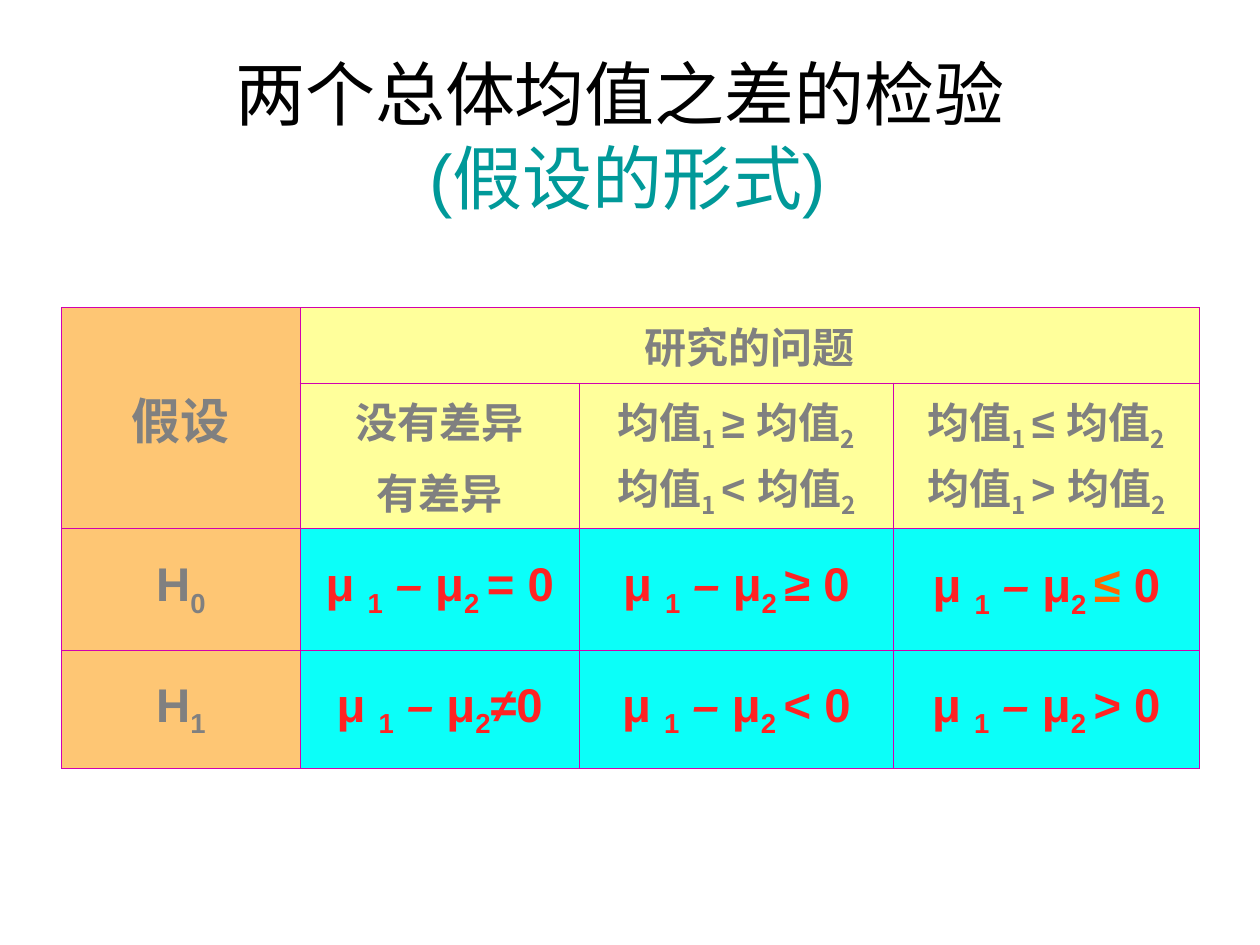
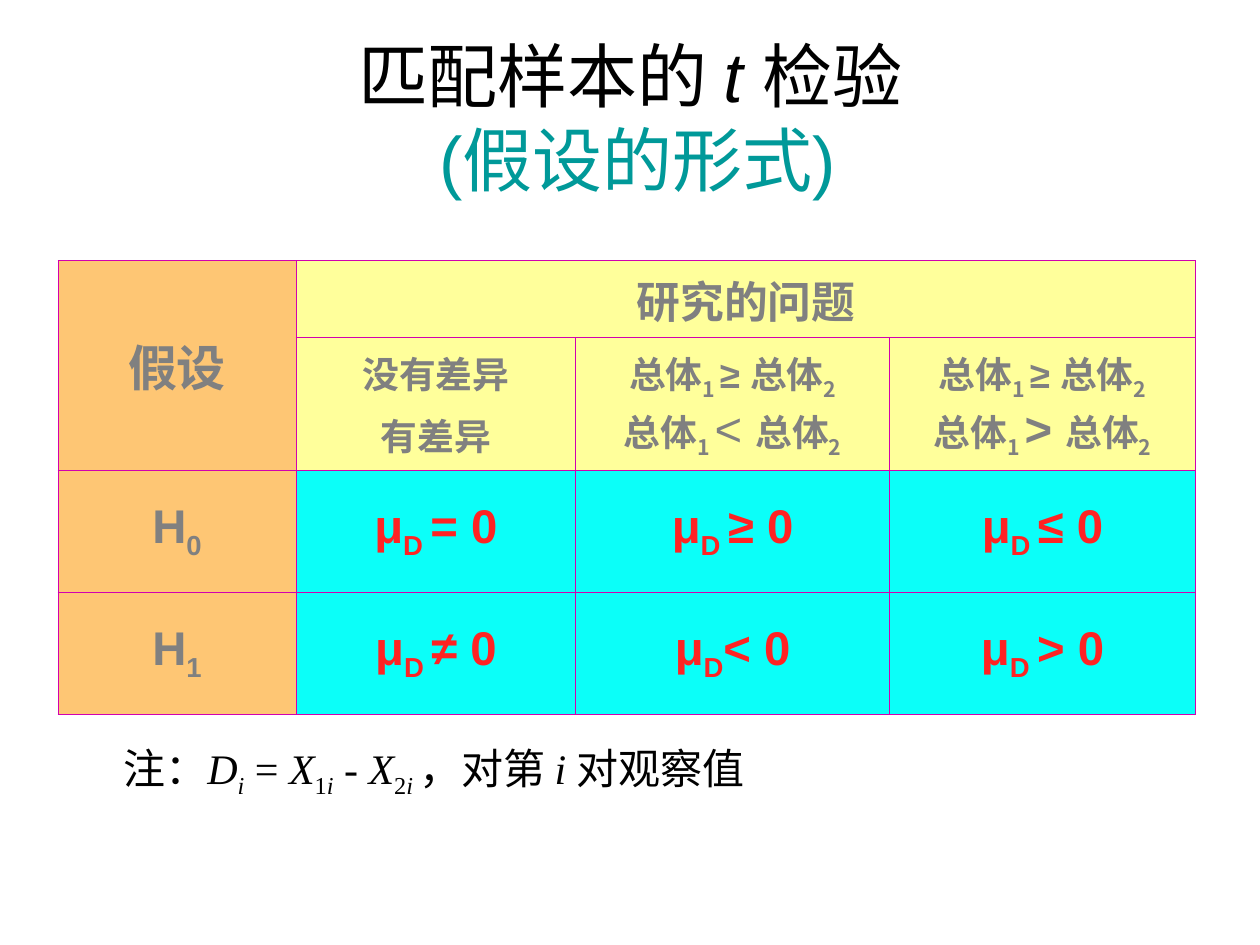
"""Builds two slides on the forms of hypotheses for comparing two means."""
import lxml.etree
import pptx
import pptx.dml.color
import pptx.enum.text
import pptx.oxml.ns
import pptx.util

Inches = pptx.util.Inches
CENTER = pptx.enum.text.PP_ALIGN.CENTER
MIDDLE = pptx.enum.text.MSO_ANCHOR.MIDDLE

SANS, CHINESE, SERIF = "Arial", "Noto Sans CJK SC", "Times New Roman"
THEME = {
    "border": "D200AF",
    "border_width": 0.45,
    "fills": {"corner": "FEC674", "label": "FEC674", "question": "FFFF9B",
              "case": "FFFF9B", "formula": "0BFFF9"},
    "text": {
        "title": {"name": SANS, "size": 40, "color": "000000"},
        "corner": {"name": SANS, "size": 28, "color": "808080", "bold": True},
        "question": {"name": CHINESE, "size": 24, "color": "808080", "bold": True},
        "case": {"name": CHINESE, "size": 24, "color": "808080", "bold": True},
        "label": {"name": SANS, "size": 27, "color": "808080", "bold": True},
        "formula": {"name": SANS, "size": 27, "color": "FF2323", "bold": True},
        "note": {"name": SERIF, "size": 24, "color": "000000"},
    },
    "marks": {
        "_": {"baseline": "-25000"},
        "/": {"italic": True},
        "#": {"color": "009999"},
        "@": {"name": SANS},
        "^": {"name": SANS, "size": 27},
        "~": {"name": SANS, "size": 27, "bold": False},
        "!": {"size": 28, "color": "FF6600"},
    },
}


def write(frame, lines, style, align=None, gap=0):
    """Writes lines whose runs are split by | and may start with theme marks."""
    for number, line in enumerate(lines):
        paragraph = frame.paragraphs[0] if number == 0 else frame.add_paragraph()
        paragraph.alignment = align
        paragraph.space_before = pptx.util.Pt(gap if number else 0)
        for piece in line.split("|"):
            look = dict(style)
            while piece[0] in THEME["marks"]:
                look.update(THEME["marks"][piece[0]])
                piece = piece[1:]
            for part_number, part in enumerate(piece.split("\n")):
                if part_number:
                    paragraph.add_line_break()
                run = paragraph.add_run()
                run.text = part
                properties = run._r.get_or_add_rPr()
                for key, value in look.items():
                    if key == "color":
                        run.font.color.rgb = pptx.dml.color.RGBColor.from_string(value)
                    elif key == "baseline":
                        properties.set(key, value)
                    else:
                        setattr(run.font, key, pptx.util.Pt(value) if key == "size" else value)
                east_asian = lxml.etree.SubElement(properties, pptx.oxml.ns.qn("a:ea"))
                east_asian.set("typeface", CHINESE)


def outline(cell):
    """Draws the thin border on all four sides of a cell."""
    properties = cell._tc.get_or_add_tcPr()
    for position, side in enumerate(("lnL", "lnR", "lnT", "lnB")):
        line = lxml.etree.Element(pptx.oxml.ns.qn(f"a:{side}"))
        line.set("w", str(int(pptx.util.Pt(THEME["border_width"]))))
        fill = lxml.etree.SubElement(line, pptx.oxml.ns.qn("a:solidFill"))
        lxml.etree.SubElement(fill, pptx.oxml.ns.qn("a:srgbClr")).set("val", THEME["border"])
        properties.insert(position, line)


MEAN_DIFFERENCE = "μ |_1|/ – |μ|_2"
COLUMNS = (1.89, 2.22, 2.49, 2.43)
QUESTION, HYPOTHESIS = "研究的问题", "假设"
NO_DIFFERENCE = ["没有差异", "有差异"]

lessons = [
    {
        "title": "两个总体均值之差的检验\n |#(假设的形式)",
        "title_at": (0.67, 0.44, 8.5, 1.25),
        "table_at": (0.49, 2.44),
        "rows": (0.6, 1.04, 0.97, 0.94),
        "question_size": 24, "case_size": 24, "case_gap": 6,
        "cases": [
            NO_DIFFERENCE,
            ["均值|_1 |@≥ |均值|_2", "均值|_1 |@< |均值|_2"],
            ["均值|_1 |@≤ |均值|_2", "均值|_1 |@> |均值|_2"],
        ],
        "formulas": [
            [MEAN_DIFFERENCE + end for end in (" |= 0", " |≥ 0", " |!≤| 0")],
            [MEAN_DIFFERENCE + end for end in ("|≠0", " |< 0", " |> 0")],
        ],
    },
    {
        "title": "匹配样本的 |/t |检验\n |#(假设的形式)",
        "title_at": (0.5, 0.3, 9, 1.25),
        "table_at": (0.46, 2.07),
        "rows": (0.61, 1.05, 0.97, 0.97),
        "question_size": 25, "case_size": 21, "case_gap": 5.2,
        "cases": [
            NO_DIFFERENCE,
            ["总体|_1 |@≥ |总体|_2", "总体|_1 |~< |总体|_2"],
            ["总体|_1 |@≥ |总体|_2", "总体|_1 |^> |总体|_2"],
        ],
        "formulas": [
            ["μ|_D |= 0", "μ|_D |≥ 0", "μ|_D |≤ 0"],
            ["μ|_D |≠ 0", "μ|_D|< 0", "μ|_D |> 0"],
        ],
        "note": "注：|/D|_/i| = |/X|_1|_/i| - |/X|_2|_/i |，对第 |/i |对观察值",
        "note_at": (0.88, 5.84, 6.25, 0.55),
    },
]

deck = pptx.Presentation()
deck.slide_width, deck.slide_height = Inches(10), Inches(7.5)
title_default = next(deck.slide_master.element.iter(pptx.oxml.ns.qn("p:titleStyle")))
next(title_default.iter(pptx.oxml.ns.qn("a:defRPr"))).set(
    "sz", str(THEME["text"]["title"]["size"] * 100))

for lesson in lessons:
    slide = deck.slides.add_slide(deck.slide_layouts[5])
    heading = slide.shapes.title
    for side, length in zip(("left", "top", "width", "height"), lesson["title_at"]):
        setattr(heading, side, Inches(length))
    heading.text_frame.vertical_anchor = MIDDLE
    write(heading.text_frame, [lesson["title"]], THEME["text"]["title"], CENTER)

    left, top = lesson["table_at"]
    hypotheses = slide.shapes.add_table(
        4, 4, Inches(left), Inches(top),
        Inches(sum(COLUMNS)), Inches(sum(lesson["rows"]))).table
    hypotheses.first_row = hypotheses.horz_banding = False
    for column, width in zip(hypotheses.columns, COLUMNS):
        column.width = Inches(width)
    for row, height in zip(hypotheses.rows, lesson["rows"]):
        row.height = Inches(height)
    hypotheses.cell(0, 0).merge(hypotheses.cell(1, 0))
    hypotheses.cell(0, 1).merge(hypotheses.cell(0, 3))

    contents = [
        [[HYPOTHESIS], [QUESTION], None, None],
        [None, *lesson["cases"]],
        [["H|_0"], *([formula] for formula in lesson["formulas"][0])],
        [["H|_1"], *([formula] for formula in lesson["formulas"][1])],
    ]
    roles = [("corner", "question"), ("corner", "case"),
             ("label", "formula"), ("label", "formula")]
    sizes = {"question": lesson["question_size"], "case": lesson["case_size"]}
    for row_number, row_contents in enumerate(contents):
        for column_number, lines in enumerate(row_contents):
            role = roles[row_number][min(column_number, 1)]
            cell = hypotheses.cell(row_number, column_number)
            cell.fill.solid()
            cell.fill.fore_color.rgb = pptx.dml.color.RGBColor.from_string(THEME["fills"][role])
            outline(cell)
            cell.vertical_anchor = MIDDLE
            if lines:
                style = dict(THEME["text"][role])
                style["size"] = sizes.get(role, style["size"])
                gap = lesson["case_gap"] if lines is NO_DIFFERENCE else 0
                write(cell.text_frame, lines, style, CENTER, gap)

    if "note" in lesson:
        note = slide.shapes.add_textbox(*map(Inches, lesson["note_at"])).text_frame
        note.word_wrap = True
        note.auto_size = pptx.enum.text.MSO_AUTO_SIZE.SHAPE_TO_FIT_TEXT
        write(note, [lesson["note"]], THEME["text"]["note"])

deck.save("out.pptx")
